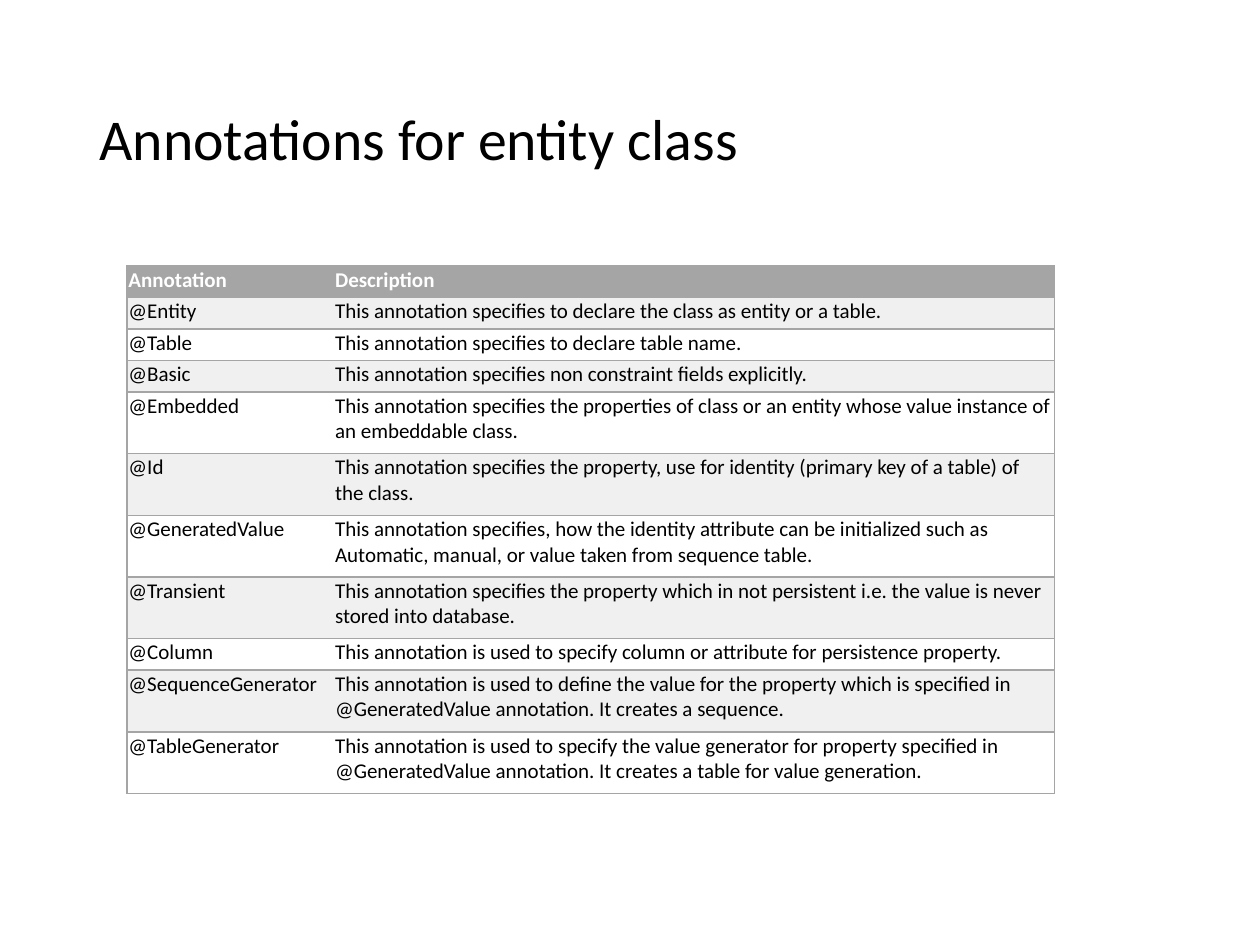
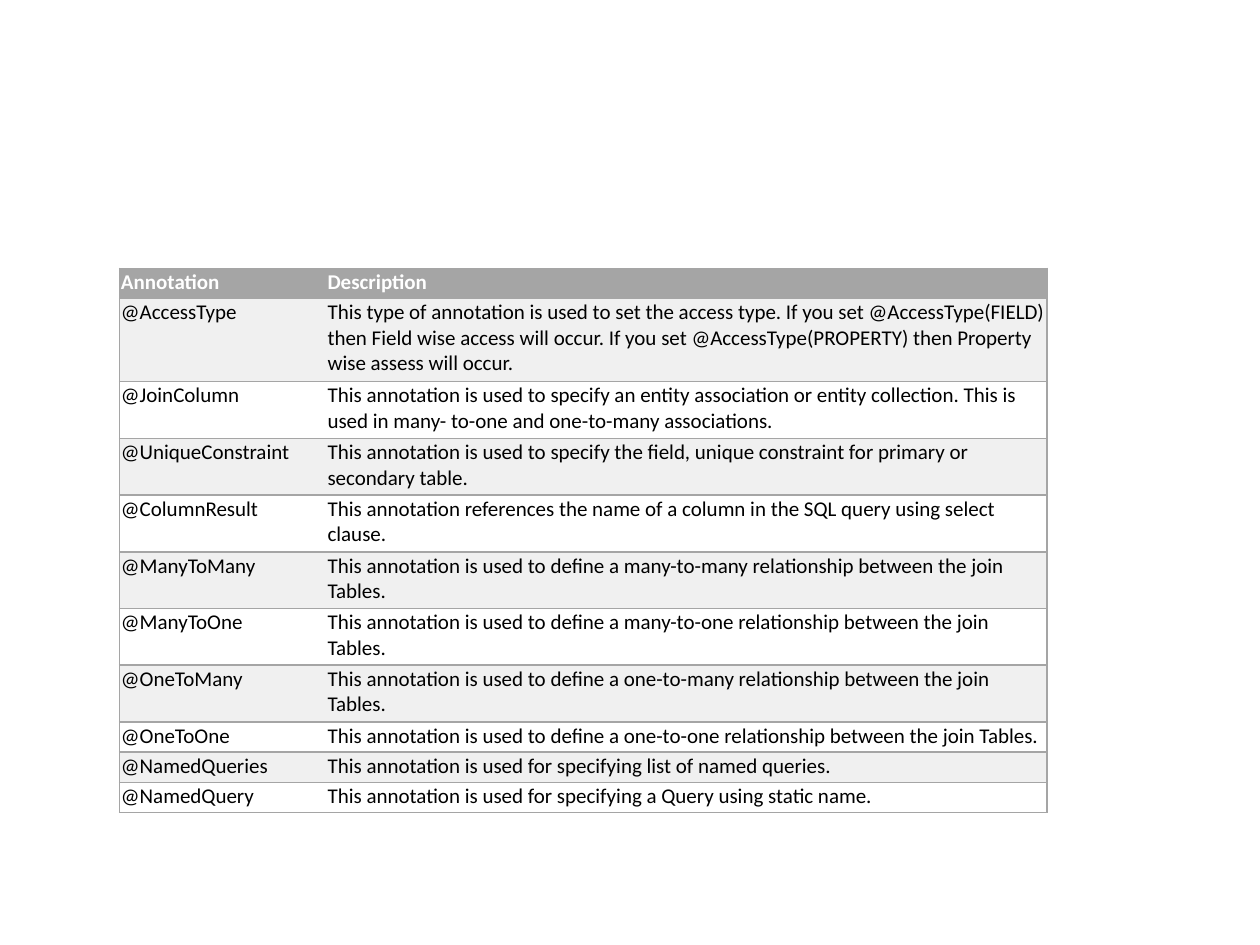
from lxml import etree
from pptx import Presentation
from pptx import util as u
from pptx.dml.color import RGBColor
from pptx.enum import text
from pptx.oxml.ns import qn

ENTITY_ROWS = [
    ("@Entity", "This annotation specifies to declare the class as entity or a table.", 1),
    ("@Table", "This annotation specifies to declare table name.", 1),
    ("@Basic", "This annotation specifies non constraint fields explicitly.", 1),
    ("@Embedded", "This annotation specifies the properties of class or an entity whose value "
     "instance of an embeddable class.", 2),
    ("@Id", "This annotation specifies the property, use for identity (primary key of a table) "
     "of the class.", 2),
    ("@GeneratedValue", "This annotation specifies, how the identity attribute can be initialized "
     "such as Automatic, manual, or value taken from sequence table.", 2),
    ("@Transient", "This annotation specifies the property which in not persistent i.e. the value "
     "is never stored into database.", 2),
    ("@Column", "This annotation is used to specify column or attribute for persistence "
     "property.", 1),
    ("@SequenceGenerator", "This annotation is used to define the value for the property which is "
     "specified in @GeneratedValue annotation. It creates a sequence.", 2),
    ("@TableGenerator", "This annotation is used to specify the value generator for property "
     "specified in @GeneratedValue annotation. It creates a table for value generation.", 2),
]

RELATION_ROWS = [
    ("@AccessType", "This type of annotation is used to set the access type. If you set "
     "@AccessType(FIELD) then Field wise access will occur. If you set @AccessType(PROPERTY) "
     "then Property wise assess will occur.", 3),
    ("@JoinColumn", "This annotation is used to specify an entity association or entity "
     "collection. This is used in many- to-one and one-to-many associations.", 2),
    ("@UniqueConstraint", "This annotation is used to specify the field, unique constraint for "
     "primary or secondary table.", 2),
    ("@ColumnResult", "This annotation references the name of a column in the SQL query using "
     "select clause.", 2),
    ("@ManyToMany", "This annotation is used to define a many-to-many relationship between the "
     "join Tables.", 2),
    ("@ManyToOne", "This annotation is used to define a many-to-one relationship between the "
     "join Tables.", 2),
    ("@OneToMany", "This annotation is used to define a one-to-many relationship between the "
     "join Tables.", 2),
    ("@OneToOne", "This annotation is used to define a one-to-one relationship between the "
     "join Tables.", 1),
    ("@NamedQueries", "This annotation is used for specifying list of named queries.", 1),
    ("@NamedQuery", "This annotation is used for specifying a Query using static name.", 1),
]


def rgb(value):
    return RGBColor.from_string(value)


class Deck:
    FONT = "Calibri"
    BLACK, WHITE, GRAY, BAND = "000000", "FFFFFF", "A5A5A5", "F0F0F0"
    TITLE_ONLY, BLANK = 5, 6
    HEADER = ("Annotation", "Description", 1)
    COLUMNS = (1.64, 5.72)
    INSET = 0.01

    def __init__(self):
        self.prs = Presentation()
        self.prs.slide_width, self.prs.slide_height = u.Inches(10), u.Inches(7.5)
        self.s = None

    def slide(self, layout):
        self.s = self.prs.slides.add_slide(self.prs.slide_layouts[layout])

    def style(self, p, size, color, bold=False):
        for r in p.runs:
            r.font.name, r.font.size, r.font.bold = self.FONT, u.Pt(size), bold
            r.font.color.rgb = rgb(color)

    def title(self, words):
        sp = self.s.shapes.title
        sp.left, sp.top, sp.width, sp.height = map(u.Inches, (0.69, 0.4, 8.62, 1.45))
        tf = sp.text_frame
        tf.text = words
        tf.word_wrap = True
        tf.vertical_anchor = text.MSO_ANCHOR.MIDDLE
        p = tf.paragraphs[0]
        p.alignment, p.line_spacing = text.PP_ALIGN.LEFT, 0.9
        self.style(p, 33, self.BLACK)

    def borders(self, cell, sides):
        tc_pr = cell._tc.get_or_add_tcPr()
        for side in "LRTB":
            ln = etree.SubElement(tc_pr, qn(f"a:ln{side}"), w=str(u.Pt(1)))
            if side in sides:
                fill = etree.SubElement(ln, qn("a:solidFill"))
                etree.SubElement(fill, qn("a:srgbClr"), val=self.GRAY)
            else:
                etree.SubElement(ln, qn("a:noFill"))

    def cell(self, cell, words, sides, fill, color, bold):
        cell.margin_left = cell.margin_right = u.Inches(self.INSET)
        cell.margin_top = cell.margin_bottom = u.Inches(self.INSET)
        self.borders(cell, sides)
        cell.fill.solid()
        cell.fill.fore_color.rgb = rgb(fill)
        cell.text_frame.text = words
        self.style(cell.text_frame.paragraphs[0], 12, color, bold)

    def table(self, left, top, rows, heights):
        rows = [self.HEADER] + rows
        total = sum(heights[lines] for _, _, lines in rows)
        box = map(u.Inches, (left, top, sum(self.COLUMNS), total))
        tbl = self.s.shapes.add_table(len(rows), len(self.COLUMNS), *box).table
        for column, width in zip(tbl.columns, self.COLUMNS):
            column.width = u.Inches(width)
        for i, (name, description, lines) in enumerate(rows):
            tbl.rows[i].height = u.Inches(heights[lines])
            if i == 0:
                look = (self.GRAY, self.WHITE, True)
            else:
                look = (self.BAND if i % 2 else self.WHITE, self.BLACK, False)
            self.cell(tbl.cell(i, 0), name, "LTB", *look)
            self.cell(tbl.cell(i, 1), description, "RTB", *look)


def main():
    deck = Deck()
    deck.slide(Deck.TITLE_ONLY)
    deck.title("Annotations for entity class")
    deck.table(1.01, 2.11, ENTITY_ROWS, {1: 0.25, 2: 0.49})

    deck.slide(Deck.BLANK)
    deck.table(0.95, 2.13, RELATION_ROWS, {1: 0.24, 2: 0.45, 3: 0.66})
    deck.prs.save("out.pptx")


if __name__ == "__main__":
    main()
